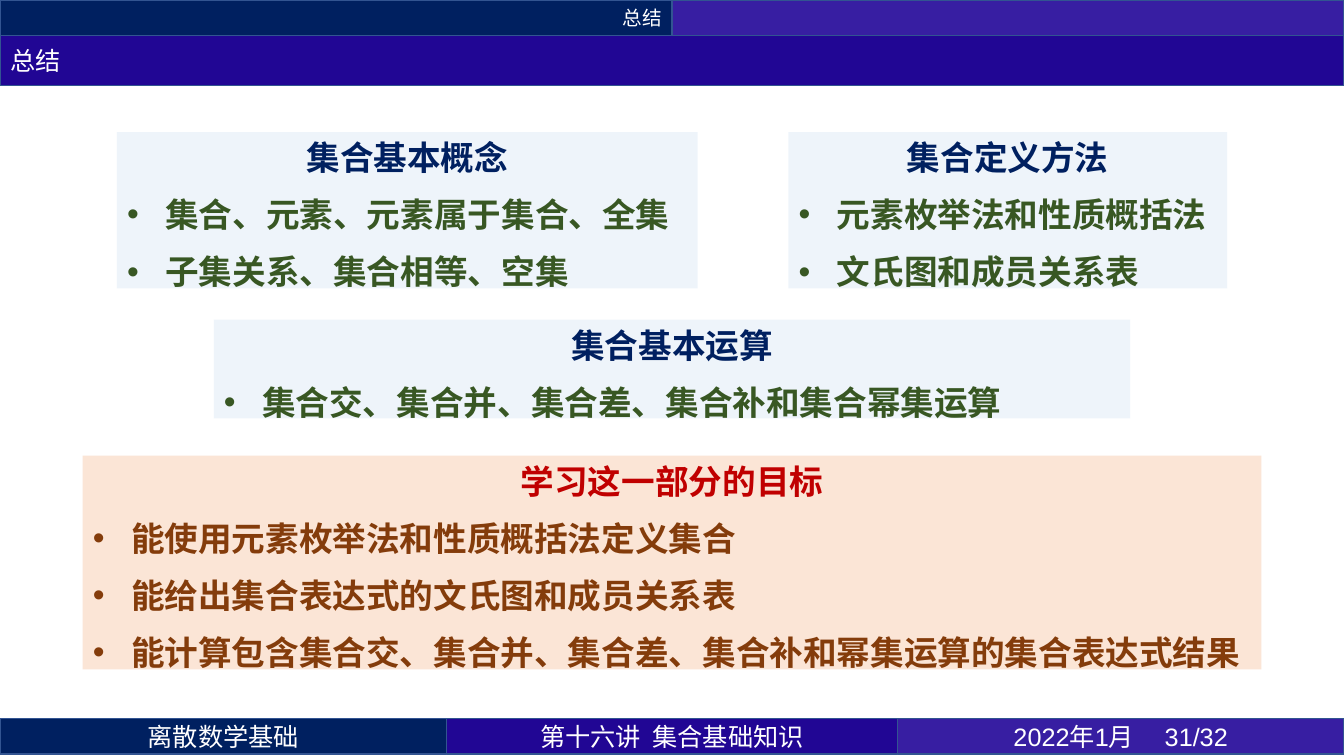
from lxml.etree import SubElement
from pptx import Presentation
from pptx.dml.color import RGBColor
from pptx.enum.shapes import MSO_SHAPE
from pptx.enum.text import MSO_ANCHOR, MSO_AUTO_SIZE, PP_ALIGN
from pptx.oxml.ns import qn
from pptx.util import Inches, Pt

NAVY = RGBColor(0x00, 0x20, 0x60)
INDIGO = RGBColor(0x21, 0x06, 0x94)
VIOLET = RGBColor(0x37, 0x1E, 0xA2)
BORDER = RGBColor(0x32, 0x54, 0x91)
WHITE = RGBColor(0xFF, 0xFF, 0xFF)
PALE_BLUE = RGBColor(0xDE, 0xEB, 0xF7)
PEACH = RGBColor(0xFB, 0xE5, 0xD6)
GREEN = RGBColor(0x38, 0x57, 0x23)
RED = RGBColor(0xC0, 0x00, 0x00)
BROWN = RGBColor(0x84, 0x3C, 0x0B)

CJK = "Noto Sans CJK SC"
WIDTH = 13.33
BAR_H = 0.35
FOOTER_TOP = 7.13
INDENT = 0.38


def place(sp, left, top, width, height):
    sp.left, sp.top = Inches(left), Inches(top)
    sp.width, sp.height = Inches(width), Inches(height)


def add_run(p, text, size, color, bold=False, latin=CJK):
    r = p.add_run()
    r.text = text
    r.font.size = Pt(size)
    r.font.bold = bold
    r.font.color.rgb = color
    r.font.name = latin
    SubElement(r.font._element, qn("a:ea"), typeface=CJK)


def style_bar(sp, fill, text="", size=18, align=PP_ALIGN.CENTER, latin=CJK):
    sp.fill.solid()
    sp.fill.fore_color.rgb = fill
    sp.line.color.rgb = BORDER
    sp.line.width = Pt(1)
    if text:
        tf = sp.text_frame
        tf.vertical_anchor = MSO_ANCHOR.MIDDLE
        tf.auto_size = MSO_AUTO_SIZE.NONE
        p = tf.paragraphs[0]
        p.alignment = align
        add_run(p, text, size, WHITE, latin=latin)


def add_bar(s, left, top, width, fill, *text, **style):
    sp = s.shapes.add_shape(MSO_SHAPE.RECTANGLE, Inches(left), Inches(top),
                            Inches(width), Inches(BAR_H))
    sp.shadow.inherit = False
    style_bar(sp, fill, *text, **style)


def set_bullet(p, char=None):
    pPr = p._p.get_or_add_pPr()
    indent = Inches(INDENT) if char else 0
    pPr.set("marL", str(indent))
    pPr.set("indent", str(-indent))
    if char:
        SubElement(pPr, qn("a:buFont"), typeface="Arial")
        SubElement(pPr, qn("a:buChar"), char=char)
    else:
        SubElement(pPr, qn("a:buNone"))


def fill_panel(sp, box, heading, items, fill=PALE_BLUE, alpha=50,
               heading_color=NAVY, item_color=GREEN, first_gap=6):
    place(sp, *box)
    sp.fill.solid()
    sp.fill.fore_color.rgb = fill
    if alpha < 100:
        color = sp.fill._xPr.find(qn("a:solidFill"))[0]
        SubElement(color, qn("a:alpha"), val=str(alpha * 1000))
    tf = sp.text_frame
    tf.word_wrap = True
    tf.vertical_anchor = MSO_ANCHOR.TOP
    tf.auto_size = MSO_AUTO_SIZE.SHAPE_TO_FIT_TEXT
    for i, text in enumerate([heading, *items]):
        p = tf.add_paragraph() if i else tf.paragraphs[0]
        p.alignment = PP_ALIGN.LEFT if i else PP_ALIGN.CENTER
        p.line_spacing = 1.0
        p.space_before = Pt(6 if i else first_gap)
        p.space_after = Pt(6)
        set_bullet(p, "•" if i else None)
        add_run(p, text, 24, item_color if i else heading_color, bold=True)


def add_header(s):
    half = WIDTH / 2
    add_bar(s, 0, 0, half, NAVY, "总结", 14, PP_ALIGN.RIGHT)
    add_bar(s, half, 0, half, VIOLET)
    title = s.shapes.title
    place(title, 0, BAR_H, WIDTH, 0.5)
    style_bar(title, INDIGO, "总结", align=PP_ALIGN.LEFT)


def add_footer(s):
    add_bar(s, 0, FOOTER_TOP, 4.43, NAVY, "离散数学基础")
    add_bar(s, 4.43, FOOTER_TOP, 4.47, INDIGO, "第十六讲  集合基础知识")
    add_bar(s, 8.9, FOOTER_TOP, 4.43, VIOLET, "2022年1月 \t31/32", latin="Arial")


def add_panels(s):
    concepts, methods, operations, goals = list(s.placeholders)[1:5]
    fill_panel(concepts, (1.16, 1.31, 5.76, 1.65), "集合基本概念",
               ["集合、元素、元素属于集合、全集", "子集关系、集合相等、空集"])
    fill_panel(methods, (7.82, 1.31, 4.35, 1.65), "集合定义方法",
               ["元素枚举法和性质概括法", "文氏图和成员关系表"])
    fill_panel(operations, (2.12, 3.17, 9.09, 1.08), "集合基本运算",
               ["集合交、集合并、集合差、集合补和集合幂集运算"])
    fill_panel(goals, (0.82, 4.52, 11.69, 2.22), "学习这一部分的目标",
               ["能使用元素枚举法和性质概括法定义集合",
                "能给出集合表达式的文氏图和成员关系表",
                "能计算包含集合交、集合并、集合差、集合补和幂集运算的集合表达式结果"],
               PEACH, 100, RED, BROWN, first_gap=0)


def main():
    prs = Presentation()
    prs.slide_width, prs.slide_height = Inches(WIDTH), Inches(7.5)
    s = prs.slides.add_slide(prs.slide_layouts.get_by_name("Comparison"))
    add_header(s)
    add_panels(s)
    add_footer(s)
    prs.save("out.pptx")


if __name__ == "__main__":
    main()
